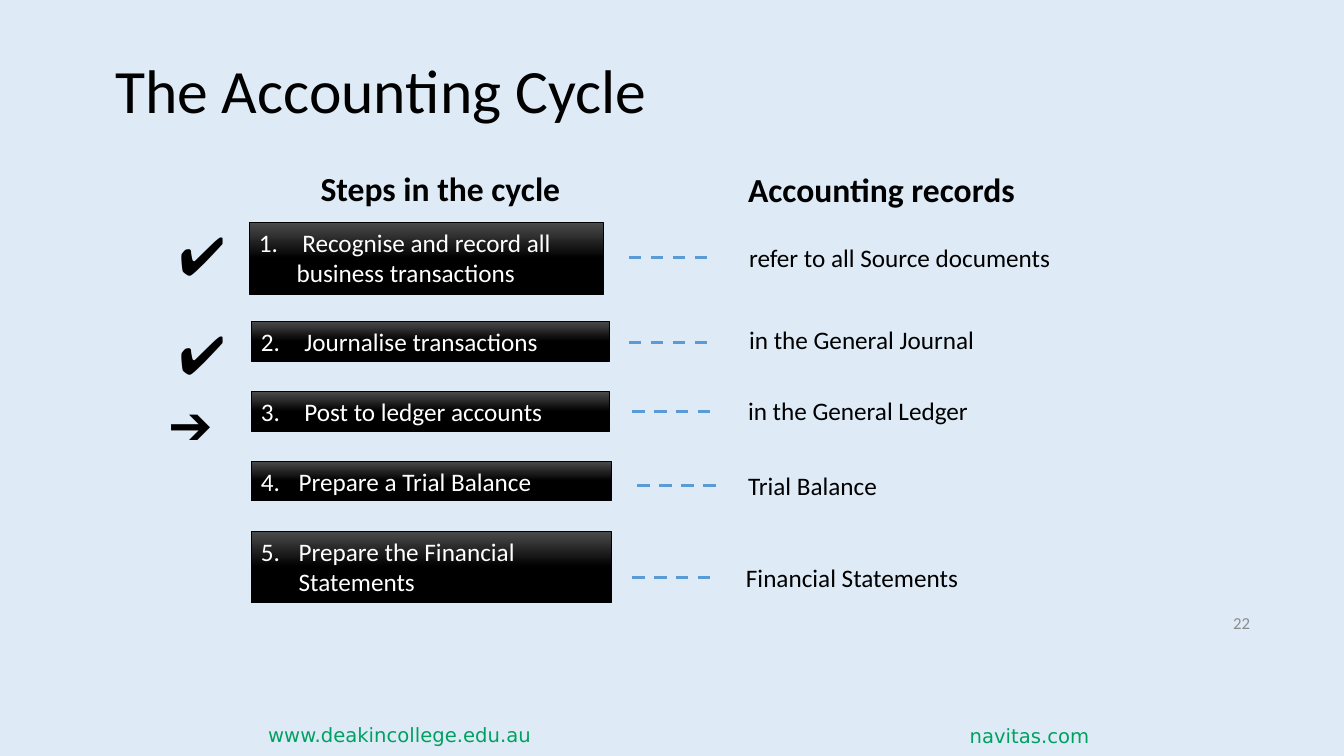
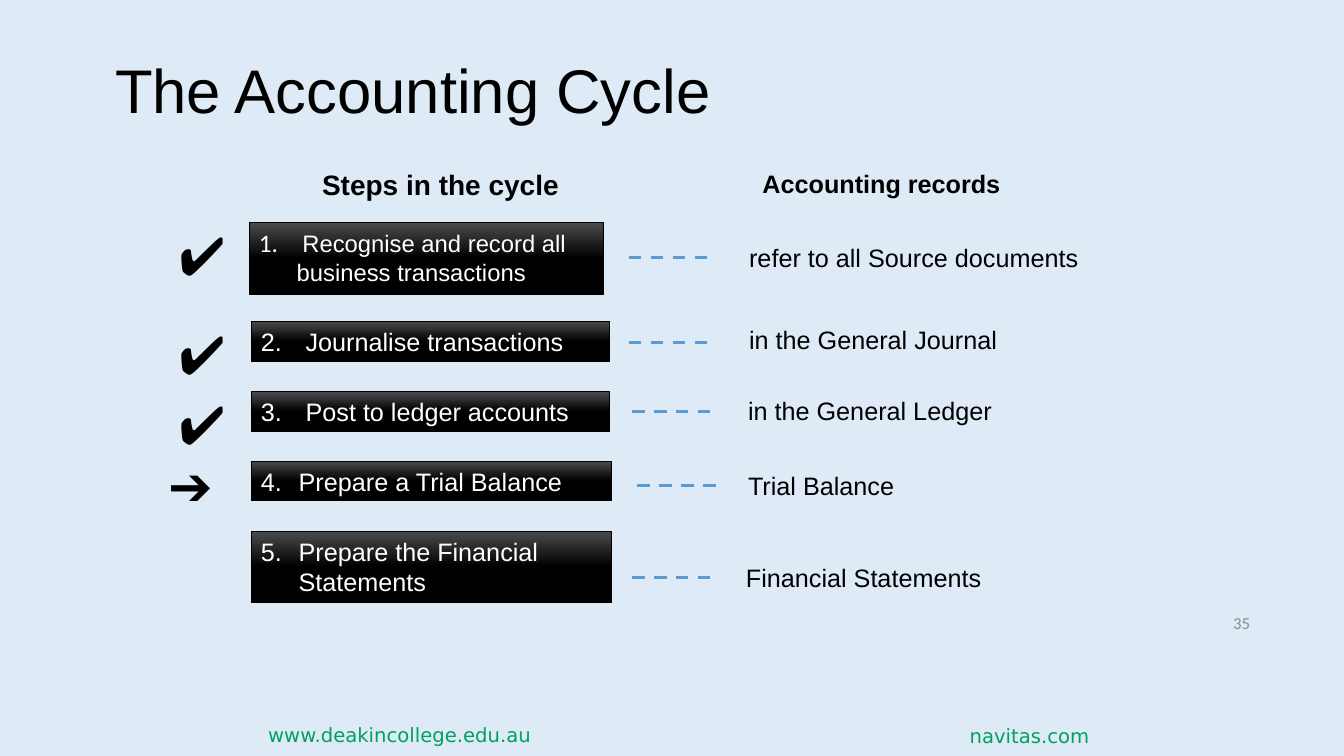
from dataclasses import dataclass

from lxml import etree
from pptx import Presentation
from pptx.dml.color import RGBColor
from pptx.enum import dml, shapes, text
from pptx.oxml import ns

PX = 9525
PT = 12700


@dataclass(frozen=True)
class Theme:
    background: str = "DEEBF7"
    ink: str = "000000"
    step_top: str = "4B4B4B"
    step_text: str = "FFFFFF"
    dash: str = "5B9BD5"
    page: str = "8C8C8C"
    web: str = "00A160"
    body_font: str = "Calibri"
    mark_font: str = "Arial"
    web_font: str = "DejaVu Sans"
    title_size: int = 44
    mark_size: int = 38
    body_size: int = 18
    web_size: int = 14
    page_size: int = 12
    outline: float = 0.5
    dash_width: float = 2.25


THEME = Theme()
LEFT, CENTER, RIGHT = text.PP_ALIGN.LEFT, text.PP_ALIGN.CENTER, text.PP_ALIGN.RIGHT
TOP, MIDDLE = text.MSO_ANCHOR.TOP, text.MSO_ANCHOR.MIDDLE

TITLE = "The Accounting Cycle"
TITLE_BOX = (100, 29, 1031, 120)
PAGE_BOX = (912, 574, 288, 38)
HEADINGS = [
    ("Steps in the cycle", (281, 155, 277, 48)),
    ("Accounting records", (701, 156, 277, 48)),
]
WEB_ADDRESSES = [
    ("www.deakincollege.edu.au", (246, 684, 289, 33), LEFT),
    ("navitas.com", (906, 685, 141, 33), RIGHT),
]
STEPS = [
    (" ", "Recognise and record all business transactions", (237, 212, 338, 68)),
    (" ", "Journalise transactions", (239, 306, 341, 38)),
    (" ", "Post to ledger accounts", (239, 373, 341, 38)),
    ("", "Prepare a Trial Balance", (239, 439, 343, 38)),
    ("", "Prepare the Financial Statements", (239, 506, 343, 68)),
]
RECORDS = [
    ("refer to all Source documents", (704, 226), (599, 245)),
    ("in the General Journal", (704, 304), (599, 326)),
    ("in the General Ledger", (703, 372), (602, 392)),
    ("Trial Balance", (703, 443), (607, 462)),
    ("Financial Statements", (701, 531), (602, 550)),
]
RECORD_SIZE = (360, 38)
DASH_LENGTH = 81
NUMBER_INDENT = 36
CHECK_LEFT, ARROW_LEFT, MARK_RISE = 161, 151, 5
MARK_SIZE = (70, 71)

SLIDES = [
    {"page": "22", "font": "Calibri", "heading_sizes": (24, 24),
     "first_step_size": 18, "done": 2, "arrow_top": 368},
    {"page": "35", "font": "Arial", "heading_sizes": (20, 18),
     "first_step_size": 17, "done": 3, "arrow_top": 426},
]


def px(*lengths):
    return [length * PX for length in lengths]


def assign(target, **values):
    for name, value in values.items():
        setattr(target, name, value)


def color(code):
    return RGBColor.from_string(code)


def add_run(paragraph, words, font, size, ink=THEME.ink, bold=False):
    run = paragraph.add_run()
    run.text = words
    assign(run.font, name=font, size=int(size * PT), bold=bold)
    run.font.color.rgb = color(ink)


def add_label(slide, words, box, font, size, ink=THEME.ink, bold=False,
              align=LEFT, anchor=TOP):
    frame = slide.shapes.add_textbox(*px(*box)).text_frame
    assign(frame, word_wrap=True, vertical_anchor=anchor)
    paragraph = frame.paragraphs[0]
    paragraph.alignment = align
    add_run(paragraph, words, font, size, ink, bold)


def add_title(slide, font):
    title = slide.shapes.title
    left, top, width, height = px(*TITLE_BOX)
    assign(title, left=left, top=top, width=width, height=height)
    assign(title.text_frame, word_wrap=True, vertical_anchor=MIDDLE,
           auto_size=text.MSO_AUTO_SIZE.NONE)
    paragraph = title.text_frame.paragraphs[0]
    assign(paragraph, alignment=LEFT, line_spacing=0.9)
    add_run(paragraph, TITLE, font, THEME.title_size)


def add_step(slide, number, runs, box):
    step = slide.shapes.add_shape(shapes.MSO_SHAPE.RECTANGLE, *px(*box))
    step.shadow.inherit = False
    step.fill.gradient()
    step.fill.gradient_angle = 270
    stops = [(0, THEME.step_top), (0.5, THEME.ink)]
    for stop, (position, shade) in zip(step.fill.gradient_stops, stops):
        stop.position = position
        stop.color.rgb = color(shade)
    step.line.color.rgb = color(THEME.ink)
    step.line.width = int(THEME.outline * PT)
    assign(step.text_frame, word_wrap=True, vertical_anchor=TOP)
    paragraph = step.text_frame.paragraphs[0]
    paragraph.alignment = LEFT
    properties = paragraph._p.get_or_add_pPr()
    properties.set("marL", str(NUMBER_INDENT * PX))
    properties.set("indent", str(-NUMBER_INDENT * PX))
    etree.SubElement(properties, ns.qn("a:buAutoNum"),
                     type="arabicPeriod", startAt=str(number))
    for words, font, size in runs:
        add_run(paragraph, words, font, size, THEME.step_text)


def add_dash(slide, left, top):
    dash = slide.shapes.add_connector(
        shapes.MSO_CONNECTOR.STRAIGHT, *px(left, top, left + DASH_LENGTH, top))
    dash.line.color.rgb = color(THEME.dash)
    assign(dash.line, width=int(THEME.dash_width * PT),
           dash_style=dml.MSO_LINE.DASH)
    etree.SubElement(dash.element.spPr, ns.qn("a:effectLst"))


def add_steps(slide, content):
    font, size = content["font"], THEME.body_size
    for number, (lead, words, box) in enumerate(STEPS, 1):
        if number == 1:
            runs = [(lead, THEME.body_font, size),
                    (words, font, content["first_step_size"])]
        else:
            runs = [(lead + words, font, size)]
        add_step(slide, number, runs, box)


def add_marks(slide, content):
    marks = [("✔", CHECK_LEFT, box[1] - MARK_RISE)
             for _, _, box in STEPS[:content["done"]]]
    marks.append(("➔", ARROW_LEFT, content["arrow_top"]))
    for mark, left, top in marks:
        add_label(slide, mark, (left, top, *MARK_SIZE),
                  THEME.mark_font, THEME.mark_size)


def add_cycle(deck, content):
    slide = deck.slides.add_slide(deck.slide_layouts[5])
    font = content["font"]
    for address, box, align in WEB_ADDRESSES:
        add_label(slide, address, box, THEME.web_font, THEME.web_size,
                  THEME.web, align=align)
    add_title(slide, font)
    add_label(slide, content["page"], PAGE_BOX, THEME.body_font,
              THEME.page_size, THEME.page, align=RIGHT, anchor=MIDDLE)
    add_steps(slide, content)
    for record, place, dash_start in RECORDS:
        add_label(slide, record, (*place, *RECORD_SIZE), font, THEME.body_size)
        add_dash(slide, *dash_start)
    for (heading, box), size in zip(HEADINGS, content["heading_sizes"]):
        add_label(slide, heading, box, font, size, bold=True, align=CENTER)
    add_marks(slide, content)


def main():
    deck = Presentation()
    assign(deck, slide_width=1280 * PX, slide_height=720 * PX)
    backdrop = deck.slide_master.background.fill
    backdrop.solid()
    backdrop.fore_color.rgb = color(THEME.background)
    for content in SLIDES:
        add_cycle(deck, content)
    deck.save("out.pptx")


if __name__ == "__main__":
    main()
